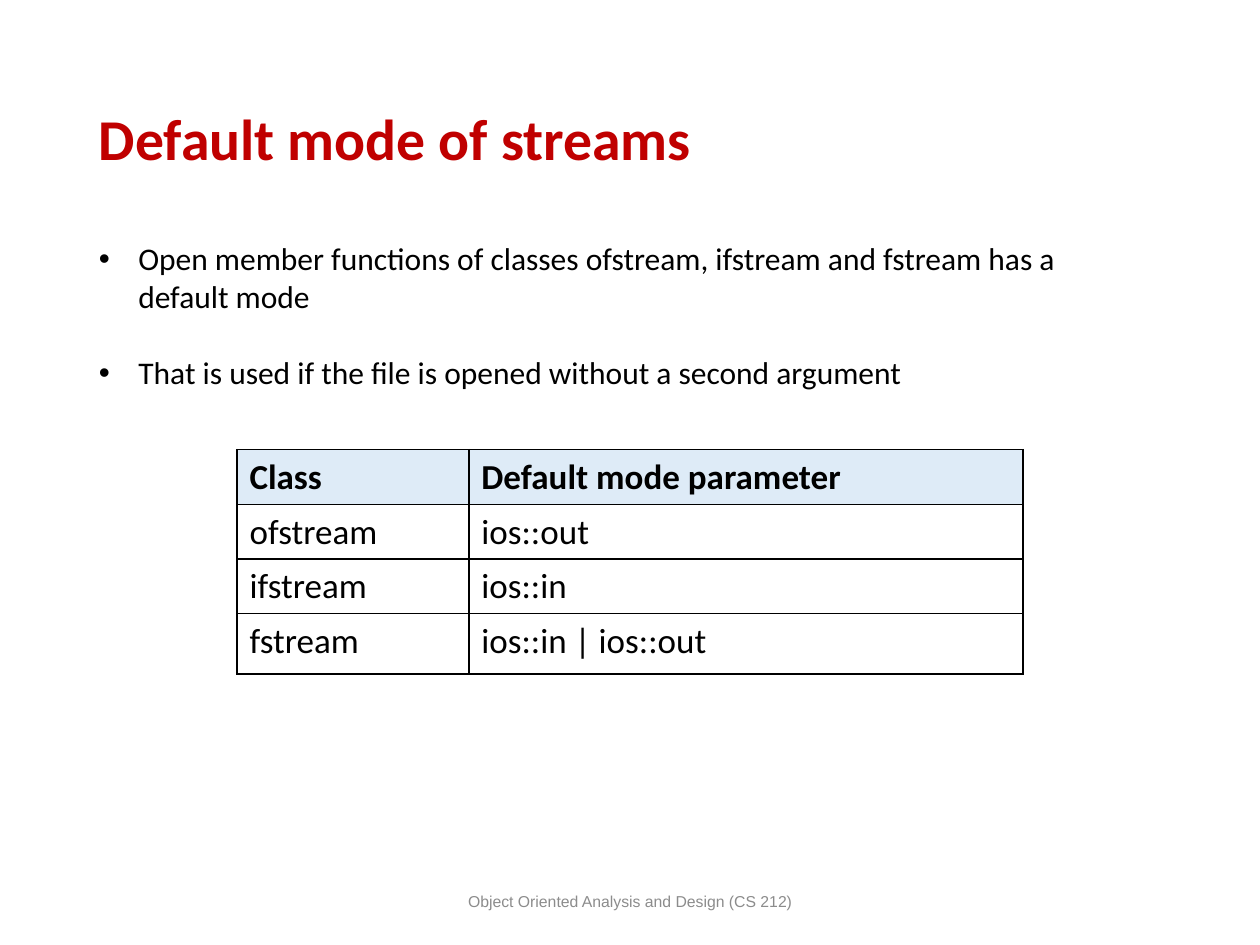
from dataclasses import dataclass

from lxml import etree
from pptx import Presentation
from pptx.dml.color import RGBColor
from pptx.enum import text
from pptx.oxml import ns
from pptx.util import Pt

COLORS = {"title": "C00000", "body": "000000", "footer": "8C8C8C",
          "header": "DEEBF7", "border": "000000"}


@dataclass
class Style:
    """Look of a run of text."""
    size: float
    color: str = "body"
    bold: bool = False
    font: str = "Calibri"


@dataclass
class Box:
    """A text box: place, wording and formatting."""
    left: float
    top: float
    width: float
    height: float
    lines: list[str]
    style: Style
    anchor: text.MSO_ANCHOR = text.MSO_ANCHOR.MIDDLE
    align: text.PP_ALIGN = text.PP_ALIGN.LEFT
    spacing: float = 1.0
    gap: float = 0
    indent: float = 0


BOXES = [
    Box(49.5, 28.75, 621, 104.4, ["Default mode of streams"],
        Style(33, "title", True), spacing=0.9),
    Box(238.5, 500.5, 243, 28.75, ["Object Oriented Analysis and Design (CS 212)"],
        Style(9, "footer", font="Arial"), align=text.PP_ALIGN.CENTER),
    Box(49.5, 133.2, 584, 94.3,
        ["Open member functions of classes ofstream, ifstream and fstream has a default mode",
         "That is used if the file is opened without a second argument"],
        Style(18), text.MSO_ANCHOR.TOP, gap=22, indent=22.5),
]
ROWS = [("Class", "Default mode parameter"), ("ofstream", "ios::out"),
        ("ifstream", "ios::in"), ("fstream", "ios::in | ios::out")]
COLUMN_WIDTHS = [132.5, 316.8]
ROW_HEIGHTS = [29.5, 29.5, 29.5, 34.5]


def rgb(name: str) -> RGBColor:
    """Return a named colour."""
    return RGBColor.from_string(COLORS[name])


def add_run(p, wording: str, style: Style) -> None:
    """Append a styled run to a paragraph."""
    r = p.add_run()
    r.text = wording
    r.font.name, r.font.size, r.font.bold = style.font, Pt(style.size), style.bold
    r.font.color.rgb = rgb(style.color)


def add_bullet(p, indent: float) -> None:
    """Give a paragraph a hanging round bullet."""
    pr = p._p.get_or_add_pPr()
    pr.set("marL", str(Pt(indent)))
    pr.set("indent", str(-Pt(indent)))
    etree.SubElement(pr, ns.qn("a:buFont"), typeface="Arial")
    etree.SubElement(pr, ns.qn("a:buChar"), char="•")


def add_box(s, box: Box) -> None:
    """Draw a text box on the slide."""
    sp = s.shapes.add_textbox(Pt(box.left), Pt(box.top), Pt(box.width), Pt(box.height))
    tf = sp.text_frame
    tf.word_wrap, tf.vertical_anchor = True, box.anchor
    for i, line in enumerate(box.lines):
        p = tf.paragraphs[0] if i == 0 else tf.add_paragraph()
        if box.indent:
            add_bullet(p, box.indent)
        p.alignment, p.line_spacing = box.align, box.spacing
        if i:
            p.space_before = Pt(box.gap)
        add_run(p, line, box.style)


def add_borders(cell, width: float) -> None:
    """Draw a solid line on the four sides of a cell."""
    pr = cell._tc.get_or_add_tcPr()
    for side in ("lnL", "lnR", "lnT", "lnB"):
        ln = etree.SubElement(pr, ns.qn(f"a:{side}"), w=str(Pt(width)))
        fill = etree.SubElement(ln, ns.qn("a:solidFill"))
        etree.SubElement(fill, ns.qn("a:srgbClr"), val=COLORS["border"])


def add_mode_table(s, left: float, top: float) -> None:
    """Draw the table of default modes."""
    table = s.shapes.add_table(len(ROWS), len(COLUMN_WIDTHS), Pt(left), Pt(top),
                               Pt(sum(COLUMN_WIDTHS)), Pt(sum(ROW_HEIGHTS))).table
    table.horz_banding = False
    for column, width in zip(table.columns, COLUMN_WIDTHS):
        column.width = Pt(width)
    for i, (row, height, words) in enumerate(zip(table.rows, ROW_HEIGHTS, ROWS)):
        row.height = Pt(height)
        for cell, wording in zip(row.cells, words):
            add_borders(cell, 1)
            if i == 0:
                cell.fill.solid()
                cell.fill.fore_color.rgb = rgb("header")
            else:
                cell.fill.background()
            add_run(cell.text_frame.paragraphs[0], wording, Style(20, bold=i == 0))


def main() -> None:
    """Build and save the slide."""
    prs = Presentation()
    prs.slide_width, prs.slide_height = Pt(720), Pt(540)
    s = prs.slides.add_slide(prs.slide_layouts[6])
    for box in BOXES:
        add_box(s, box)
    add_mode_table(s, 135.4, 257)
    prs.save("out.pptx")


if __name__ == "__main__":
    main()
